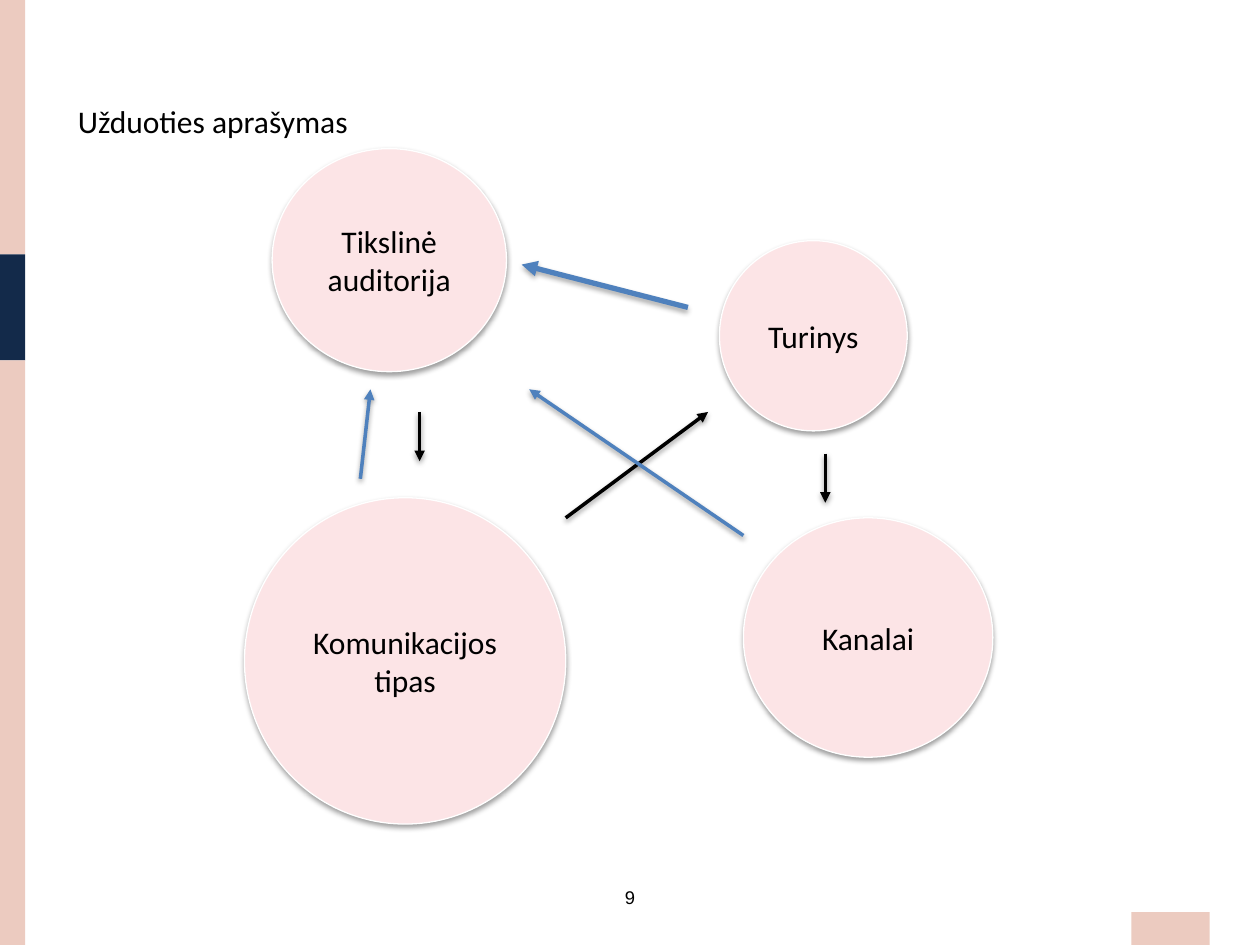
import pptx
import pptx.util
import pptx.dml.color
import pptx.enum.shapes
import pptx.enum.text
import pptx.oxml
import pptx.oxml.ns

RGBColor = pptx.dml.color.RGBColor
Shapes = pptx.enum.shapes.MSO_SHAPE
Align = pptx.enum.text.PP_ALIGN
Anchor = pptx.enum.text.MSO_ANCHOR

PEACH = RGBColor(0xEC, 0xCB, 0xC0)
NAVY = RGBColor(0x13, 0x2A, 0x4A)
PINK = RGBColor(0xFC, 0xE4, 0xE6)
BLUE = RGBColor(0x4F, 0x81, 0xBD)
WHITE = RGBColor(0xFF, 0xFF, 0xFF)
BLACK = RGBColor(0, 0, 0)

EMU_PER_PX = 9144
PAGE_SIZE = (1000, 750)

BARS = [
    ((0, 0, 20, 202), PEACH),
    ((0, 202, 20, 84), NAVY),
    ((0, 286, 20, 464), PEACH),
    ((898, 724, 62, 26), PEACH),
]
CIRCLES = [
    ("Turinys", (571, 191, 149, 151)),
    ("Kanalai", (590, 411, 198, 190)),
    ("Komunikacijos tipas", (194, 395, 255, 259)),
    ("Tikslinė auditorija", (216, 118, 186, 177)),
]
ARROWS = [
    ((333, 327), (333, 366), BLACK, 2),
    ((449, 411), (562, 327), BLACK, 2),
    ((655, 360), (655, 399), BLACK, 2),
    ((590, 425), (420, 309), BLUE, 2),
    ((286, 380), (294, 309), BLUE, 2),
    ((546, 244), (414, 210), BLUE, 3),
]
TITLE = ("Užduoties aprašymas", (52, 76, 257, 40))
PAGE_NUMBER = ("9", (481, 698, 38, 28))


def emu(lengths):
    return [pptx.util.Emu(length * EMU_PER_PX) for length in lengths]


def write(frame, text, size=18, font="Calibri", align=Align.LEFT, anchor=Anchor.TOP, wrap=True):
    frame.word_wrap = wrap
    frame.vertical_anchor = anchor
    para = frame.paragraphs[0]
    para.alignment = align
    span = para.add_run()
    span.text = text
    span.font.size = pptx.util.Pt(size)
    span.font.name = font
    span.font.color.rgb = BLACK


def add_shadow(shape, opacity=38, distance=1.6):
    shape.element.spPr.append(pptx.oxml.parse_xml(
        f'<a:effectLst {pptx.oxml.ns.nsdecls("a")}>'
        f'<a:outerShdw blurRad="{pptx.util.Pt(3.1)}" dist="{pptx.util.Pt(distance)}" '
        'dir="5400000" rotWithShape="0">'
        f'<a:srgbClr val="{BLACK}"><a:alpha val="{opacity * 1000}"/></a:srgbClr>'
        '</a:outerShdw></a:effectLst>'))


def add_bar(page, place, color):
    bar = page.shapes.add_shape(Shapes.RECTANGLE, *emu(place))
    bar.fill.solid()
    bar.fill.fore_color.rgb = color
    bar.line.fill.background()
    bar.shadow.inherit = False


def add_circle(page, text, place):
    circle = page.shapes.add_shape(Shapes.OVAL, *emu(place))
    circle.fill.solid()
    circle.fill.fore_color.rgb = PINK
    circle.line.color.rgb = WHITE
    circle.line.width = pptx.util.Pt(0.75)
    add_shadow(circle)
    write(circle.text_frame, text, align=Align.CENTER, anchor=Anchor.MIDDLE)


def add_arrow(page, start, end, color, width):
    arrow = page.shapes.add_connector(
        pptx.enum.shapes.MSO_CONNECTOR.STRAIGHT, *emu(start + end))
    arrow.line.color.rgb = color
    arrow.line.width = pptx.util.Pt(width)
    outline = arrow.element.spPr.find(pptx.oxml.ns.qn("a:ln"))
    outline.append(pptx.oxml.parse_xml(
        f'<a:tailEnd {pptx.oxml.ns.nsdecls("a")} type="triangle"/>'))
    if width > 2:
        add_shadow(arrow, opacity=35, distance=1.8)
    else:
        add_shadow(arrow)


def add_text(page, text, place, **style):
    box = page.shapes.add_textbox(*emu(place))
    write(box.text_frame, text, **style)


def main():
    deck = pptx.Presentation()
    deck.slide_width, deck.slide_height = emu(PAGE_SIZE)
    page = deck.slides.add_slide(deck.slide_layouts[6])
    for place, color in BARS:
        add_bar(page, place, color)
    for text, place in CIRCLES:
        add_circle(page, text, place)
    for arrow in ARROWS:
        add_arrow(page, *arrow)
    add_text(page, *TITLE)
    add_text(page, *PAGE_NUMBER, size=10.5, font="Arial", align=Align.CENTER, wrap=False)
    deck.save("out.pptx")


if __name__ == "__main__":
    main()
